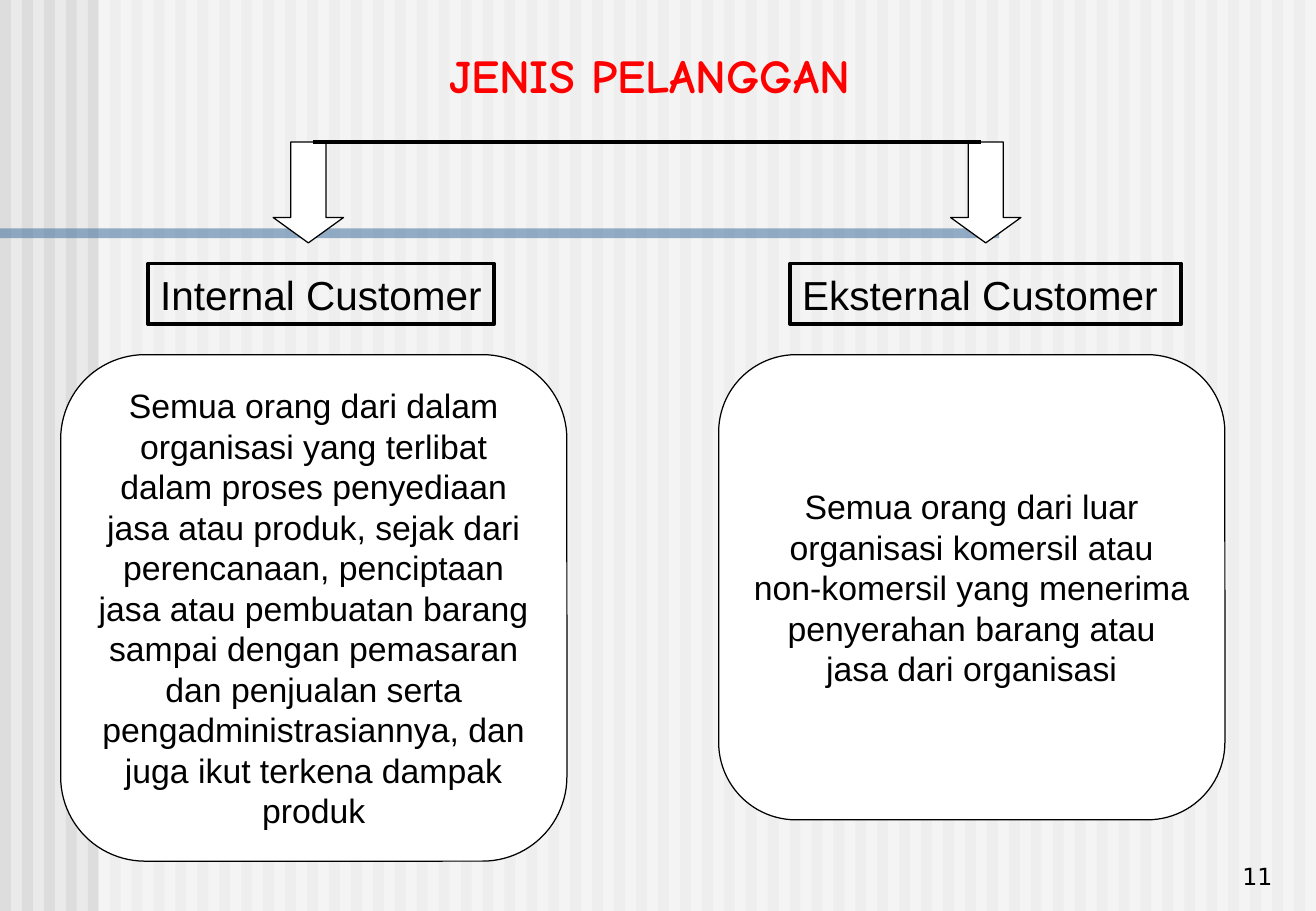
from dataclasses import dataclass

from lxml import etree
from pptx import Presentation
from pptx import util as u
from pptx.dml.color import RGBColor
from pptx.enum import shapes, text
from pptx.oxml import ns


@dataclass(frozen=True)
class Theme:
    background: str = "EAEAEA"
    stripe: str = "DDDDDD"
    white: str = "FFFFFF"
    accent: str = "336699"
    ink: str = "000000"
    title: str = "FF0000"
    body_font: str = "Arial"
    title_font: str = "Comic Neue"
    number_font: str = "DejaVu Sans"
    title_size: int = 28
    heading_size: int = 24
    body_size: int = 20
    number_size: int = 14
    thin: float = 0.75
    thick: float = 2.25


THEME = Theme()
SLIDE_WIDTH, SLIDE_HEIGHT = 10.84, 7.5
STRIPE_COUNT = 60
SHAPE = shapes.MSO_SHAPE
ALIGN = text.PP_ALIGN
ANCHOR = text.MSO_ANCHOR

CUSTOMERS = [
    ("Internal Customer", (1.22, 2.17, 2.85, 0.5), 2.25,
     "Semua orang dari dalam organisasi yang terlibat dalam proses "
     "penyediaan jasa atau produk, sejak dari perencanaan, penciptaan jasa "
     "atau pembuatan barang sampai dengan pemasaran dan penjualan serta "
     "pengadministrasiannya, dan juga ikut terkena dampak produk",
     (0.5, 2.92, 4.17, 4.17)),
    ("Eksternal Customer", (6.51, 2.17, 3.22, 0.5), 7.83,
     "Semua orang dari luar organisasi komersil atau non-komersil yang "
     "menerima penyerahan barang atau jasa dari organisasi",
     (5.92, 2.92, 4.17, 3.83)),
]


def color(value):
    return RGBColor.from_string(value)


def inches(box):
    return [u.Inches(value) for value in box]


def add_box(s, kind, box, fill=None, line_width=None, opacity=None):
    sp = s.shapes.add_shape(kind, *inches(box))
    sp.shadow.inherit = False
    if fill:
        sp.fill.solid()
        sp.fill.fore_color.rgb = color(fill)
    else:
        sp.fill.background()
    if line_width:
        sp.line.color.rgb = color(THEME.ink)
        sp.line.width = u.Pt(line_width)
    else:
        sp.line.fill.background()
    if opacity:
        rgb = sp.fill._xPr.find(".//" + ns.qn("a:srgbClr"))
        etree.SubElement(rgb, ns.qn("a:alpha"), val=str(opacity * 1000))
    return sp


def set_text(sp, words, size, font, align, anchor, ink=THEME.ink, bold=False):
    tf = sp.text_frame
    tf.text = words
    tf.word_wrap = True
    tf.auto_size = text.MSO_AUTO_SIZE.NONE
    tf.vertical_anchor = anchor
    p = tf.paragraphs[0]
    p.alignment = align
    r = p.runs[0]
    r.font.size = u.Pt(size)
    r.font.name = font
    r.font.bold = bold
    r.font.color.rgb = color(ink)


def add_backdrop(s):
    s.background.fill.solid()
    s.background.fill.fore_color.rgb = color(THEME.background)
    step = SLIDE_WIDTH / STRIPE_COUNT
    for i in range(STRIPE_COUNT):
        add_box(s, SHAPE.RECTANGLE, (i * step, 0, step / 2, SLIDE_HEIGHT), THEME.stripe)
    add_box(s, SHAPE.RECTANGLE, (0.81, 0, 10.03, SLIDE_HEIGHT), THEME.white, opacity=50)
    add_box(s, SHAPE.RECTANGLE, (0, 1.88, 8.23, 0.08), THEME.accent, opacity=50)


def add_number(s, number):
    sp = s.shapes.add_textbox(*inches((8.32, 6.88, 2.26, 0.5)))
    set_text(sp, number, THEME.number_size, THEME.number_font, ALIGN.RIGHT, ANCHOR.BOTTOM)


def add_arrow(s, left):
    sp = add_box(s, SHAPE.DOWN_ARROW, (left, 1.17, 0.58, 0.83), THEME.white, THEME.thin)
    sp.adjustments[1] = 0.36


def add_heading(s, words, box):
    sp = add_box(s, SHAPE.RECTANGLE, box, line_width=THEME.thick)
    set_text(sp, words, THEME.heading_size, THEME.body_font, ALIGN.LEFT, ANCHOR.MIDDLE)
    sp.text_frame.margin_right = 0


def add_card(s, words, box):
    sp = add_box(s, SHAPE.ROUNDED_RECTANGLE, box, THEME.white, THEME.thin)
    set_text(sp, words, THEME.body_size, THEME.body_font, ALIGN.CENTER, ANCHOR.MIDDLE)


def add_crossbar(s):
    line = s.shapes.add_connector(
        shapes.MSO_CONNECTOR.STRAIGHT, *inches((2.58, 1.17, 8.08, 1.17)))
    line.line.color.rgb = color(THEME.ink)
    line.line.width = u.Pt(THEME.thick)
    etree.SubElement(line._element.spPr, ns.qn("a:effectLst"))


def place_title(s, words):
    sp = s.shapes.title
    sp.left, sp.top, sp.width, sp.height = inches((2.58, 0.33, 5.54, 0.57))
    set_text(sp, words, THEME.title_size, THEME.title_font,
             ALIGN.CENTER, ANCHOR.BOTTOM, THEME.title, bold=True)
    s.shapes._spTree.append(sp._element)


def main():
    prs = Presentation()
    prs.slide_width, prs.slide_height = inches((SLIDE_WIDTH, SLIDE_HEIGHT))
    s = prs.slides.add_slide(prs.slide_layouts[5])
    add_backdrop(s)
    add_number(s, "11")
    for heading, heading_box, arrow_left, description, card_box in CUSTOMERS:
        add_arrow(s, arrow_left)
        add_heading(s, heading, heading_box)
        add_card(s, description, card_box)
    add_crossbar(s)
    place_title(s, "JENIS PELANGGAN")
    prs.save("out.pptx")


if __name__ == "__main__":
    main()
